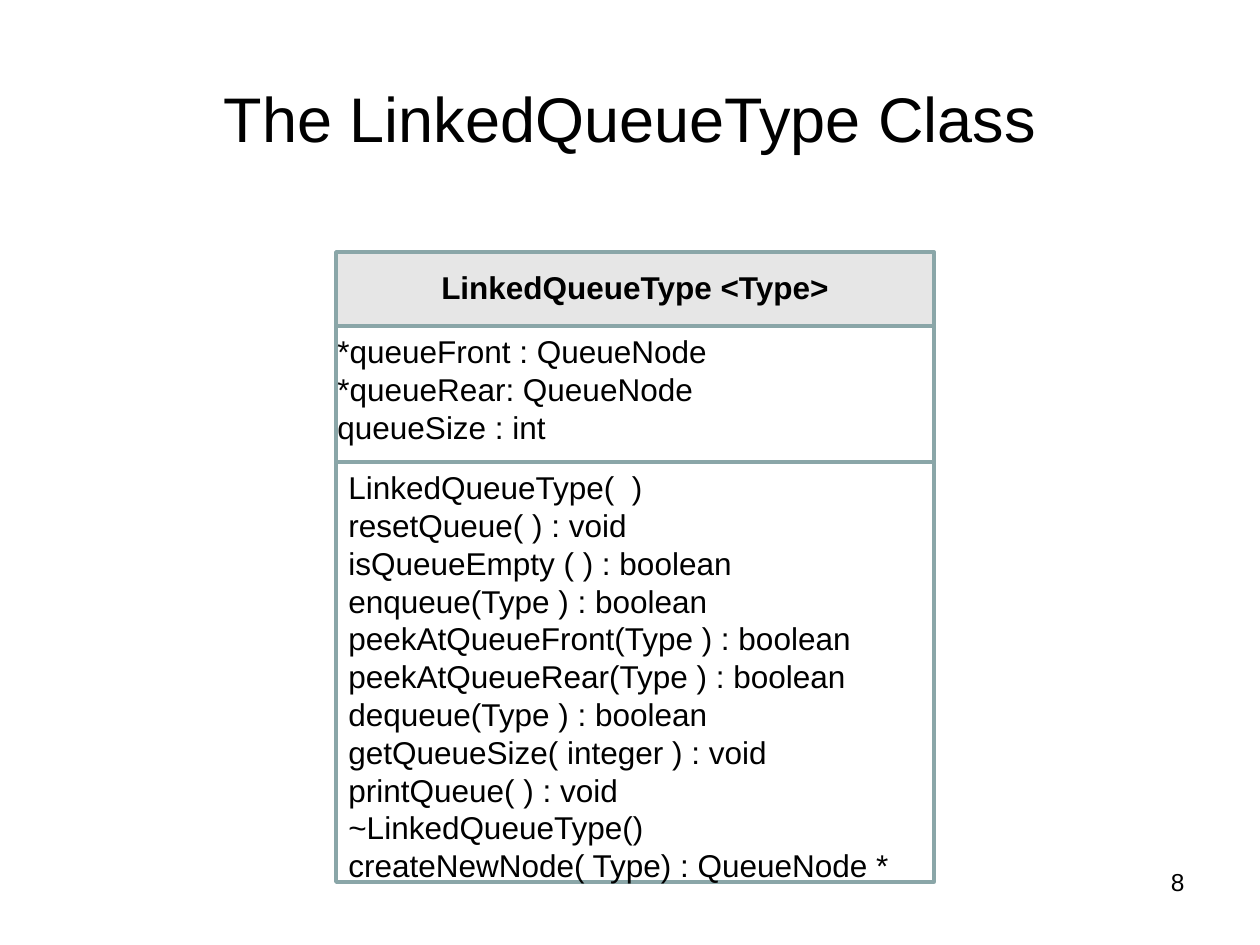
from pptx import Presentation
from pptx.dml.color import RGBColor
from pptx.enum.shapes import MSO_SHAPE
from pptx.enum.text import MSO_ANCHOR, MSO_AUTO_SIZE, PP_ALIGN
from pptx.util import Emu, Pt

PX_PER_INCH = 126
COLORS = {"text": "000000", "border": "8AA6A8", "header": "E6E6E6"}
FONT = "Arial"

CLASS_LEFT, CLASS_WIDTH = 336, 598
HEADER_TOP, ATTRIBUTES_TOP, METHODS_TOP, CLASS_BOTTOM = 252, 326, 462, 882

ATTRIBUTES = [
    "*queueFront : QueueNode",
    "*queueRear: QueueNode",
    "queueSize : int",
]
METHODS = [
    "LinkedQueueType(  )",
    "resetQueue( ) : void",
    "isQueueEmpty ( ) : boolean",
    "enqueue(Type ) : boolean",
    "peekAtQueueFront(Type ) : boolean",
    "peekAtQueueRear(Type ) : boolean",
    "dequeue(Type ) : boolean",
    "getQueueSize( integer ) : void",
    "printQueue( ) : void",
    "~LinkedQueueType()",
    "createNewNode( Type) : QueueNode *",
]


def px(length):
    return Emu(round(length * 914400 / PX_PER_INCH))


def color(name):
    return RGBColor.from_string(COLORS[name])


def write_lines(frame, lines, size, align, bold=False):
    for index, line in enumerate(lines):
        paragraph = frame.paragraphs[0] if index == 0 else frame.add_paragraph()
        paragraph.alignment = align
        run = paragraph.add_run()
        run.text = line
        run.font.name = FONT
        run.font.size = Pt(size)
        run.font.bold = bold
        run.font.color.rgb = color("text")


def add_title(slide, text):
    title = slide.shapes.title
    title.left, title.top, title.width, title.height = map(px, (63, 38, 1134, 158))
    title.text_frame.vertical_anchor = MSO_ANCHOR.MIDDLE
    write_lines(title.text_frame, [text], 36, PP_ALIGN.CENTER)


def add_compartment(slide, top, bottom, fill=None):
    compartment = slide.shapes.add_shape(
        MSO_SHAPE.RECTANGLE, px(CLASS_LEFT), px(top), px(CLASS_WIDTH), px(bottom - top))
    compartment.shadow.inherit = False
    compartment.line.color.rgb = color("border")
    compartment.line.width = Pt(2)
    if fill:
        compartment.fill.solid()
        compartment.fill.fore_color.rgb = color(fill)
    else:
        compartment.fill.background()


def add_text(slide, box, lines, size=18, align=PP_ALIGN.LEFT, bold=False, grow=True):
    frame = slide.shapes.add_textbox(*map(px, box)).text_frame
    frame.word_wrap = True
    frame.auto_size = MSO_AUTO_SIZE.SHAPE_TO_FIT_TEXT if grow else MSO_AUTO_SIZE.NONE
    write_lines(frame, lines, size, align, bold)


def main():
    deck = Presentation()
    deck.slide_width, deck.slide_height = px(1260), px(945)
    slide = deck.slides.add_slide(deck.slide_layouts[5])

    add_title(slide, "The LinkedQueueType Class")
    add_text(slide, (1081, 861, 116, 66), ["8"], 14, PP_ALIGN.RIGHT, grow=False)

    add_compartment(slide, METHODS_TOP, CLASS_BOTTOM)
    add_compartment(slide, HEADER_TOP, ATTRIBUTES_TOP, "header")
    add_text(slide, (CLASS_LEFT, 262, CLASS_WIDTH, 53),
             ["LinkedQueueType <Type>"], align=PP_ALIGN.CENTER, bold=True)
    add_text(slide, (CLASS_LEFT, METHODS_TOP, CLASS_WIDTH, 431), METHODS)
    add_compartment(slide, ATTRIBUTES_TOP, METHODS_TOP)
    add_text(slide, (325, ATTRIBUTES_TOP, 609, 127), ATTRIBUTES)

    deck.save("out.pptx")


if __name__ == "__main__":
    main()
